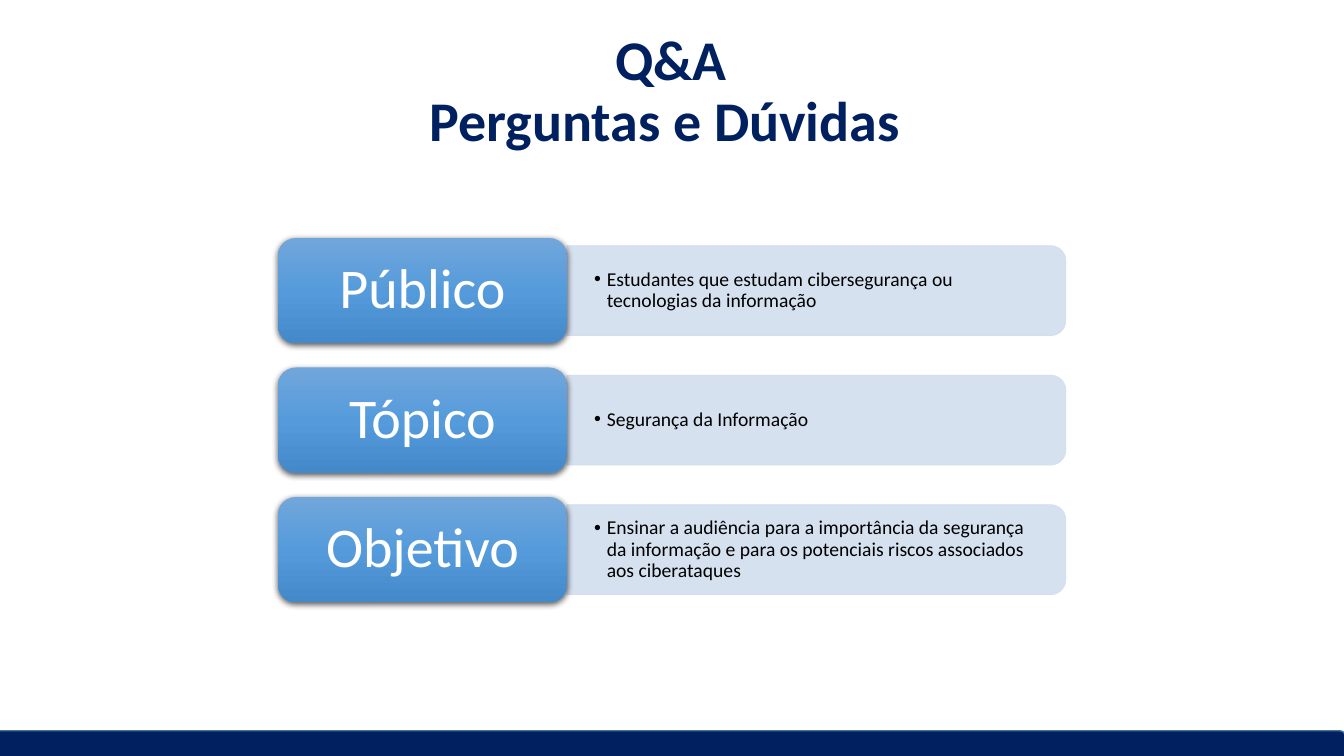
from lxml import etree
from pptx import Presentation
from pptx import oxml
from pptx.dml import color
from pptx.enum import shapes, text
from pptx.oxml import ns
from pptx.util import Pt

NAVY = "002060"
PANEL_BLUE = "D2DEEF"
LABEL_GRADIENT = [(0, "71A6DB"), (50, "559BDB"), (100, "448ACA")]
TOPICS = [
    ("Público", "Estudantes que estudam cibersegurança ou tecnologias da informação"),
    ("Tópico", "Segurança da Informação"),
    ("Objetivo", "Ensinar a audiência para a importância da segurança da informação "
                 "e para os potenciais riscos associados aos ciberataques"),
]
FIRST_TOP, ROW_PITCH = 170, 92.5
LABEL_LEFT, LABEL_WIDTH, LABEL_HEIGHT = 198.7, 206.2, 75.2
PANEL_WIDTH, PANEL_HEIGHT = 356.4, 64.2


def rgb(value):
    return color.RGBColor.from_string(value)


def element(parent, tag, **attributes):
    return etree.SubElement(parent, ns.qn(tag), attributes)


def add_box(slide, kind, left, top, width, height):
    box = slide.shapes.add_shape(kind, Pt(left), Pt(top), Pt(width), Pt(height))
    box.shadow.inherit = False
    return box


def paint(box, fill, line, weight):
    box.fill.solid()
    box.fill.fore_color.rgb = rgb(fill)
    box.line.color.rgb = rgb(line)
    box.line.width = Pt(weight)


def write(box, lines, size, ink, align, anchor, inset_x, inset_y, bold=False, bullet=False):
    frame = box.text_frame
    frame.word_wrap = True
    frame.vertical_anchor = anchor
    frame.margin_left = frame.margin_right = Pt(inset_x)
    frame.margin_top = frame.margin_bottom = Pt(inset_y)
    for index, line in enumerate(lines):
        paragraph = frame.add_paragraph() if index else frame.paragraphs[0]
        paragraph.text = line
        paragraph.alignment = align
        paragraph.line_spacing = 0.9
        if bullet:
            properties = paragraph._p.get_or_add_pPr()
            properties.set("marL", str(Pt(9)))
            properties.set("indent", str(-Pt(9)))
            element(properties, "a:buFont", typeface="Arial")
            element(properties, "a:buChar", char="•")
        paragraph.font.name = "Calibri"
        paragraph.font.size = Pt(size)
        paragraph.font.bold = bold
        paragraph.font.color.rgb = rgb(ink)


def add_title(slide):
    title = slide.shapes.add_textbox(Pt(-1.4), Pt(61.9), Pt(961.2), Pt(51.1))
    write(title, ["Q&A", "Perguntas e Dúvidas "], 40, NAVY, text.PP_ALIGN.CENTER,
          text.MSO_ANCHOR.BOTTOM, 7.2, 3.6, bold=True)


def add_panel(slide, top, description):
    left = LABEL_LEFT + LABEL_WIDTH
    shift = (PANEL_WIDTH - PANEL_HEIGHT) / 2
    panel = add_box(slide, shapes.MSO_SHAPE.ROUND_2_SAME_RECTANGLE,
                    left + shift, top - shift, PANEL_HEIGHT, PANEL_WIDTH)
    panel.rotation = 90
    paint(panel, PANEL_BLUE, PANEL_BLUE, 0.5)
    for tint in panel._element.spPr.iter(ns.qn("a:srgbClr")):
        element(tint, "a:alpha", val="90000")
    detail = slide.shapes.add_textbox(Pt(left), Pt(top + 3.2), Pt(353), Pt(57.8))
    write(detail, [description], 14, "000000", text.PP_ALIGN.LEFT,
          text.MSO_ANCHOR.MIDDLE, 19.5, 9.8, bullet=True)


def add_label(slide, top, name):
    label = add_box(slide, shapes.MSO_SHAPE.ROUNDED_RECTANGLE,
                    LABEL_LEFT, top, LABEL_WIDTH, LABEL_HEIGHT)
    label.line.fill.background()
    label.fill.gradient()
    label.fill.gradient_angle = 270
    properties = label._element.spPr
    stops = properties.find(".//" + ns.qn("a:gsLst"))
    for stop in list(stops):
        stops.remove(stop)
    for position, shade in LABEL_GRADIENT:
        stop = element(stops, "a:gs", pos=str(position * 1000))
        element(stop, "a:srgbClr", val=shade)
    shadow = element(properties.find(ns.qn("a:effectLst")), "a:outerShdw",
                     blurRad=str(Pt(4.5)), dist=str(Pt(1.5)), dir="5400000",
                     algn="ctr", rotWithShape="0")
    element(element(shadow, "a:srgbClr", val="000000"), "a:alpha", val="63000")
    write(label, [name], 40, "FFFFFF", text.PP_ALIGN.CENTER,
          text.MSO_ANCHOR.MIDDLE, 12, 6)


def main():
    deck = Presentation()
    deck.slide_width, deck.slide_height = Pt(960), Pt(540)
    slide = deck.slides.add_slide(deck.slide_layouts[6])
    footer = add_box(slide, shapes.MSO_SHAPE.ROUNDED_RECTANGLE, -5.8, 522, 967, 24.5)
    paint(footer, NAVY, "43739E", 1)
    add_title(slide)
    for row, (name, description) in enumerate(TOPICS):
        top = FIRST_TOP + row * ROW_PITCH
        add_panel(slide, top + (LABEL_HEIGHT - PANEL_HEIGHT) / 2, description)
        add_label(slide, top, name)
    deck.save("out.pptx")


if __name__ == "__main__":
    main()
